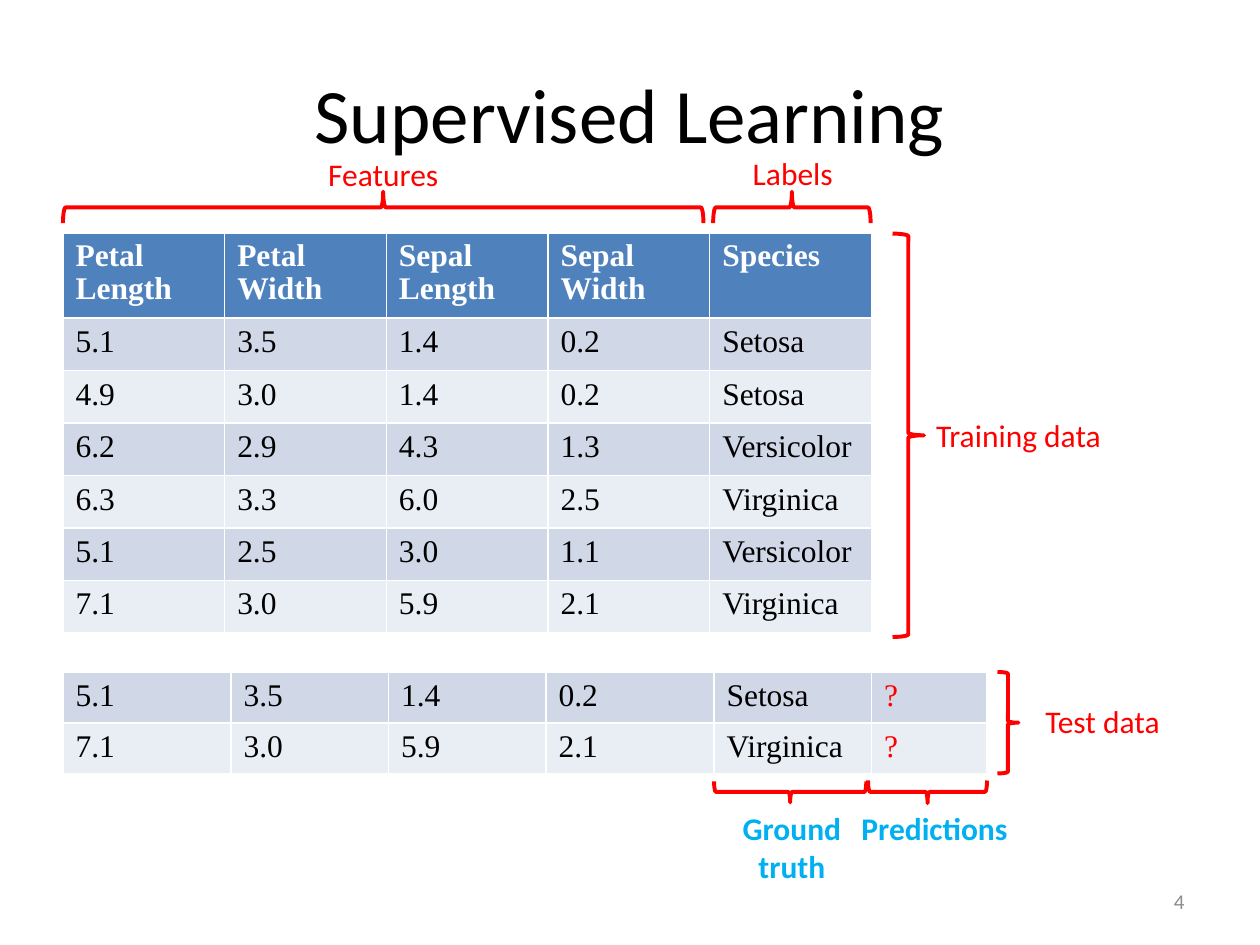
import pptx
import pptx.dml.color
import pptx.enum.shapes
import pptx.enum.text
import pptx.util

Pt = pptx.util.Pt
ALIGN = pptx.enum.text.PP_ALIGN
ANCHOR = pptx.enum.text.MSO_ANCHOR
COLORS = {
    "black": "000000", "white": "FFFFFF", "red": "FF0000", "cyan": "00B0F0",
    "gray": "8C8C8C", "header": "4F81BD", "odd": "D0D8E8", "even": "E9EDF4",
}
UP, RIGHT, DOWN = 270, 0, 90

HEADER = ["Petal Length", "Petal Width", "Sepal Length", "Sepal Width", "Species"]
TRAINING = [
    ["5.1", "3.5", "1.4", "0.2", "Setosa"],
    ["4.9", "3.0", "1.4", "0.2", "Setosa"],
    ["6.2", "2.9", "4.3", "1.3", "Versicolor"],
    ["6.3", "3.3", "6.0", "2.5", "Virginica"],
    ["5.1", "2.5", "3.0", "1.1", "Versicolor"],
    ["7.1", "3.0", "5.9", "2.1", "Virginica"],
]
TEST = [
    ["5.1", "3.5", "1.4", "0.2", "Setosa", "?"],
    ["7.1", "3.0", "5.9", "2.1", "Virginica", "?"],
]


def rgb(name):
    return pptx.dml.color.RGBColor.from_string(COLORS[name])


def write(tf, text, font="Calibri", size=18, color="black", bold=False,
          align=None, spacing=None):
    """Fill a text frame, one paragraph per line of text."""
    for i, line in enumerate(text.split("\n")):
        p = tf.add_paragraph() if i else tf.paragraphs[0]
        p.alignment, p.line_spacing = align, spacing
        r = p.add_run()
        r.text = line
        r.font.name, r.font.size, r.font.bold = font, Pt(size), bold
        r.font.color.rgb = rgb(color)


class Deck:
    def __init__(self, prs):
        self.s = prs.slides.add_slide(prs.slide_layouts[5])

    def title(self, text, *box):
        sp = self.s.shapes.title
        sp.left, sp.top, sp.width, sp.height = map(Pt, box)
        sp.text_frame.vertical_anchor = ANCHOR.MIDDLE
        write(sp.text_frame, text, size=44, align=ALIGN.CENTER)

    def text(self, text, left, top, width=132, height=29, anchor=ANCHOR.TOP,
             align=ALIGN.CENTER, **style):
        sp = self.s.shapes.add_textbox(Pt(left), Pt(top), Pt(width), Pt(height))
        tf = sp.text_frame
        tf.word_wrap = True
        tf.vertical_anchor = anchor
        write(tf, text, align=align, **style)

    def brace(self, left, top, width, height, point):
        """Draw a brace that fills the given box and points one way."""
        w, h = (width, height) if point == RIGHT else (height, width)
        sp = self.s.shapes.add_shape(
            pptx.enum.shapes.MSO_SHAPE.RIGHT_BRACE,
            Pt(left + (width - w) / 2), Pt(top + (height - h) / 2), Pt(w), Pt(h))
        sp.rotation = point
        sp.shadow.inherit = False
        sp.fill.background()
        sp.line.color.rgb = rgb("red")
        sp.line.width = Pt(2.25)

    def table(self, rows, left, top, widths, row_height, header=None):
        grid = ([header] if header else []) + rows
        table = self.s.shapes.add_table(
            len(grid), len(widths), Pt(left), Pt(top),
            Pt(sum(widths)), Pt(row_height * len(grid))).table
        table.first_row = bool(header)
        for col, width in zip(table.columns, widths):
            col.width = Pt(width)
        for i, values in enumerate(grid):
            table.rows[i].height = Pt(row_height)
            is_header = bool(header) and i == 0
            band = "even" if (i - bool(header)) % 2 else "odd"
            for j, value in enumerate(values):
                cell = table.cell(i, j)
                cell.fill.solid()
                cell.fill.fore_color.rgb = rgb("header" if is_header else band)
                color = "white" if is_header else "red" if value == "?" else "black"
                write(cell.text_frame, value, font="Times New Roman", color=color,
                      bold=is_header, spacing=0.95 if is_header else None)


def main():
    prs = pptx.Presentation()
    prs.slide_width, prs.slide_height = Pt(720), Pt(540)
    deck = Deck(prs)

    # Title and slide number
    deck.title("Supervised Learning", 36, 19.5, 648, 90)
    deck.text("4", 516, 500.5, 168, 28.75, anchor=ANCHOR.MIDDLE,
              align=ALIGN.RIGHT, size=12, color="gray")

    # Training data
    deck.table(TRAINING, 36, 133.5, [92.4] * 5, 30, header=HEADER)
    deck.brace(36, 109.5, 366, 18, UP)
    deck.text("Features", 153, 85, color="red")
    deck.brace(407.5, 109.5, 90, 18, UP)
    deck.text("Labels", 387, 84.5, color="red")
    deck.brace(510, 133.5, 18, 230.5, RIGHT)
    deck.text("Training data", 516, 234, color="red")

    # Test data
    deck.table(TEST, 36, 384, [96, 90, 90, 96, 90, 66], 29)
    deck.brace(570, 384, 12, 58, RIGHT)
    deck.text("Test data", 564, 397.5, color="red")

    # Truth and predictions
    deck.brace(408, 446.5, 87, 12, DOWN)
    deck.text("Ground\ntruth", 386.5, 459, height=51, color="cyan", bold=True)
    deck.brace(496, 446, 68, 13, DOWN)
    deck.text("Predictions", 468, 458.5, color="cyan", bold=True)

    prs.save("out.pptx")


if __name__ == "__main__":
    main()
